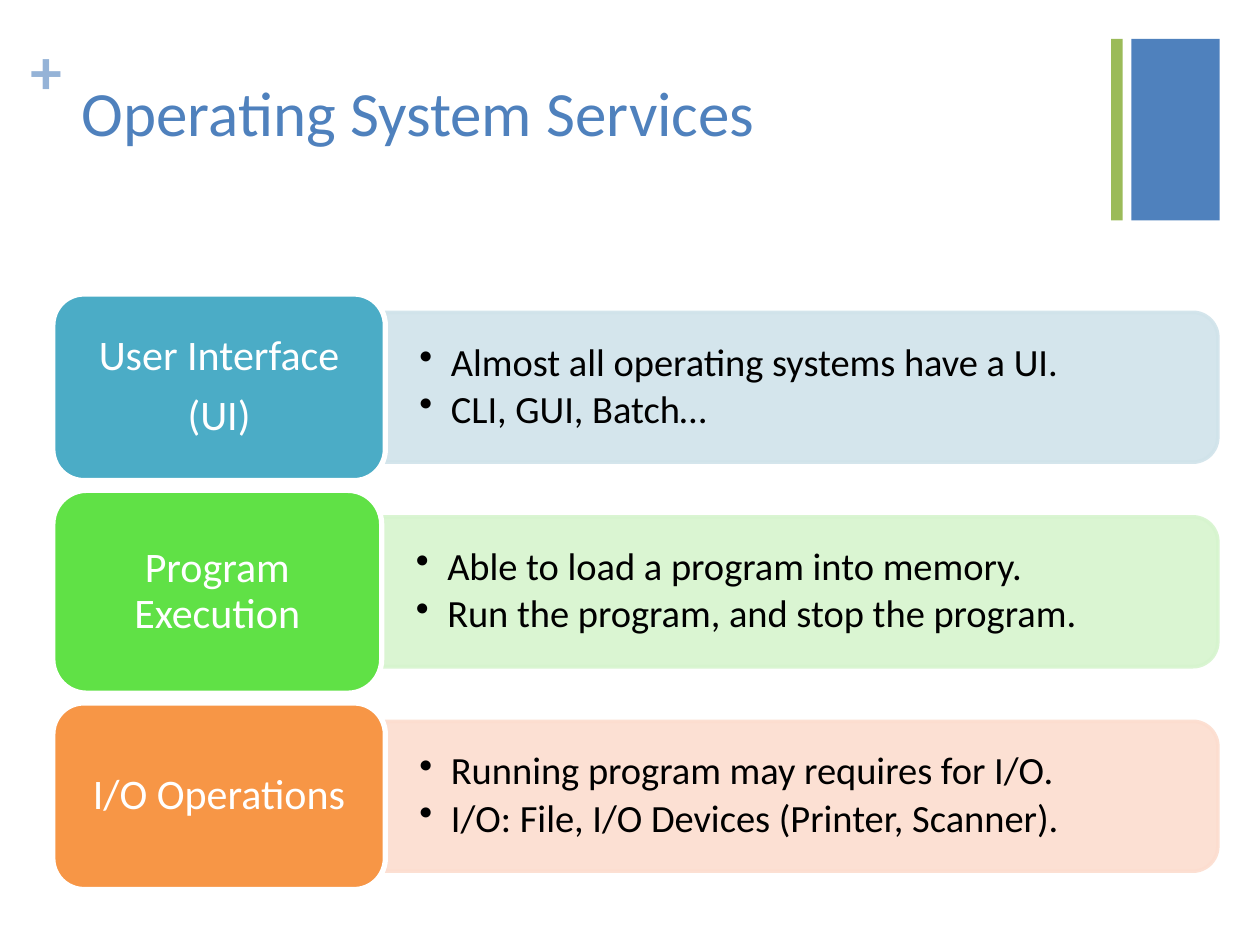
"""Build the Operating System Services slide."""
from pptx import Presentation
from pptx.dml.color import RGBColor
from pptx.enum import shapes, text
from pptx.oxml import ns, xmlchemy
from pptx.util import Pt

COLORS = {
    "blue": "4F81BD", "pale_blue": "95B3D7", "green": "9BBB59",
    "white": "FFFFFF", "black": "000000",
    "teal": "4BACC6", "teal_tint": "D0E3EA",
    "lime": "60E146", "lime_tint": "D6F4CE",
    "orange": "F79646", "orange_tint": "FCDDCF",
}
TITLE = "Operating System Services"
SERVICES = [
    {"label": ["User Interface", "(UI)"], "color": "teal", "size": (190, 106.6),
     "points": ["Almost all operating systems have a UI.", "CLI, GUI, Batch…"]},
    {"label": ["Program Execution"], "color": "lime", "size": (187.9, 115.9),
     "points": ["Able to load a program into memory.",
                "Run the program, and stop the program."]},
    {"label": ["I/O Operations"], "color": "orange", "size": (190, 106.6),
     "points": ["Running program may requires for I/O.",
                "I/O: File, I/O Devices (Printer, Scanner)."]},
]
BARS = [("blue", 646.5, 50.5), ("green", 635, 6.5)]
BAR_TOP, BAR_HEIGHT = 22.3, 103.7
LEFT, RIGHT, TOP, GAP = 30.2, 695.9, 168, 5.6
PANEL_HEIGHT, TEXT_HEIGHT, TEXT_RIGHT = 85.7, 77, 692
FONT = "Calibri"


def rgb(name):
    return RGBColor.from_string(COLORS[name])


def write(paragraph, words, size, color, bold=False):
    run = paragraph.add_run()
    run.text = words
    run.font.name, run.font.size, run.font.bold = FONT, Pt(size), bold
    run.font.color.rgb = rgb(color)


def set_frame(frame, anchor, horizontal, vertical):
    frame.word_wrap = True
    frame.auto_size = text.MSO_AUTO_SIZE.NONE
    frame.vertical_anchor = anchor
    frame.margin_left = frame.margin_right = Pt(horizontal)
    frame.margin_top = frame.margin_bottom = Pt(vertical)


def add_lines(frame, lines, size, color, space_after, alignment, bulleted=False):
    for index, line in enumerate(lines):
        paragraph = frame.add_paragraph() if index else frame.paragraphs[0]
        if bulleted:
            paragraph.level = 1
            properties = paragraph._p.get_or_add_pPr()
            properties.set("marL", str(Pt(18)))
            properties.set("indent", str(Pt(-18)))
            bullet = xmlchemy.OxmlElement("a:buChar")
            bullet.set("char", "•")
            properties.append(bullet)
        paragraph.alignment = alignment
        paragraph.line_spacing = 0.9
        paragraph.space_after = Pt(space_after)
        write(paragraph, line, size, color)


def add_block(slide, kind, box, fill, line=None, line_width=0):
    shape = slide.shapes.add_shape(kind, *map(Pt, box))
    shape.shadow.inherit = False
    shape.fill.solid()
    shape.fill.fore_color.rgb = rgb(fill)
    if line:
        shape.line.color.rgb = rgb(line)
        shape.line.width = Pt(line_width)
    else:
        shape.line.fill.background()
    return shape


def add_panel(slide, left, middle, tint):
    length = RIGHT - left
    box = ((left + RIGHT - PANEL_HEIGHT) / 2, middle - length / 2, PANEL_HEIGHT, length)
    panel = add_block(slide, shapes.MSO_SHAPE.ROUND_2_SAME_RECTANGLE, box, tint, tint, 2)
    panel.rotation = 90
    for color in panel._element.spPr.iter(ns.qn("a:srgbClr")):
        alpha = xmlchemy.OxmlElement("a:alpha")
        alpha.set("val", "90000")
        color.append(alpha)


def add_service(slide, service, top):
    width, height = service["size"]
    left, middle = LEFT + width, top + height / 2
    add_panel(slide, left, middle, service["color"] + "_tint")

    box = (left, middle - TEXT_HEIGHT / 2, TEXT_RIGHT - left, TEXT_HEIGHT)
    frame = slide.shapes.add_textbox(*map(Pt, box)).text_frame
    set_frame(frame, text.MSO_ANCHOR.MIDDLE, 19.5, 10)
    add_lines(frame, service["points"], 22, "black", 3.3, text.PP_ALIGN.LEFT, True)

    label = add_block(slide, shapes.MSO_SHAPE.ROUNDED_RECTANGLE,
                      (LEFT, top, width, height), service["color"], "white", 3)
    set_frame(label.text_frame, text.MSO_ANCHOR.MIDDLE, 7.2, 3.6)
    add_lines(label.text_frame, service["label"], 24, "white", 8.4, text.PP_ALIGN.CENTER)


def add_heading(slide):
    for color, left, width in BARS:
        add_block(slide, shapes.MSO_SHAPE.RECTANGLE,
                  (left, BAR_TOP, width, BAR_HEIGHT), color)
    plus = slide.shapes.add_textbox(Pt(17.3), Pt(18), Pt(21), Pt(44)).text_frame
    set_frame(plus, text.MSO_ANCHOR.TOP, 0, 0)
    write(plus.paragraphs[0], "+", 36, "pale_blue", bold=True)

    title = slide.shapes.title
    title.left, title.top, title.width, title.height = map(Pt, (39.6, 38.2, 594.7, 87.8))
    set_frame(title.text_frame, text.MSO_ANCHOR.TOP, 7.2, 3.6)
    title.text_frame.paragraphs[0].alignment = text.PP_ALIGN.LEFT
    write(title.text_frame.paragraphs[0], TITLE, 36, "blue")


def main():
    presentation = Presentation()
    presentation.slide_width, presentation.slide_height = Pt(720), Pt(540)
    slide = presentation.slides.add_slide(presentation.slide_layouts[5])
    add_heading(slide)
    top = TOP
    for service in SERVICES:
        add_service(slide, service, top)
        top += service["size"][1] + GAP
    presentation.save("out.pptx")


if __name__ == "__main__":
    main()
